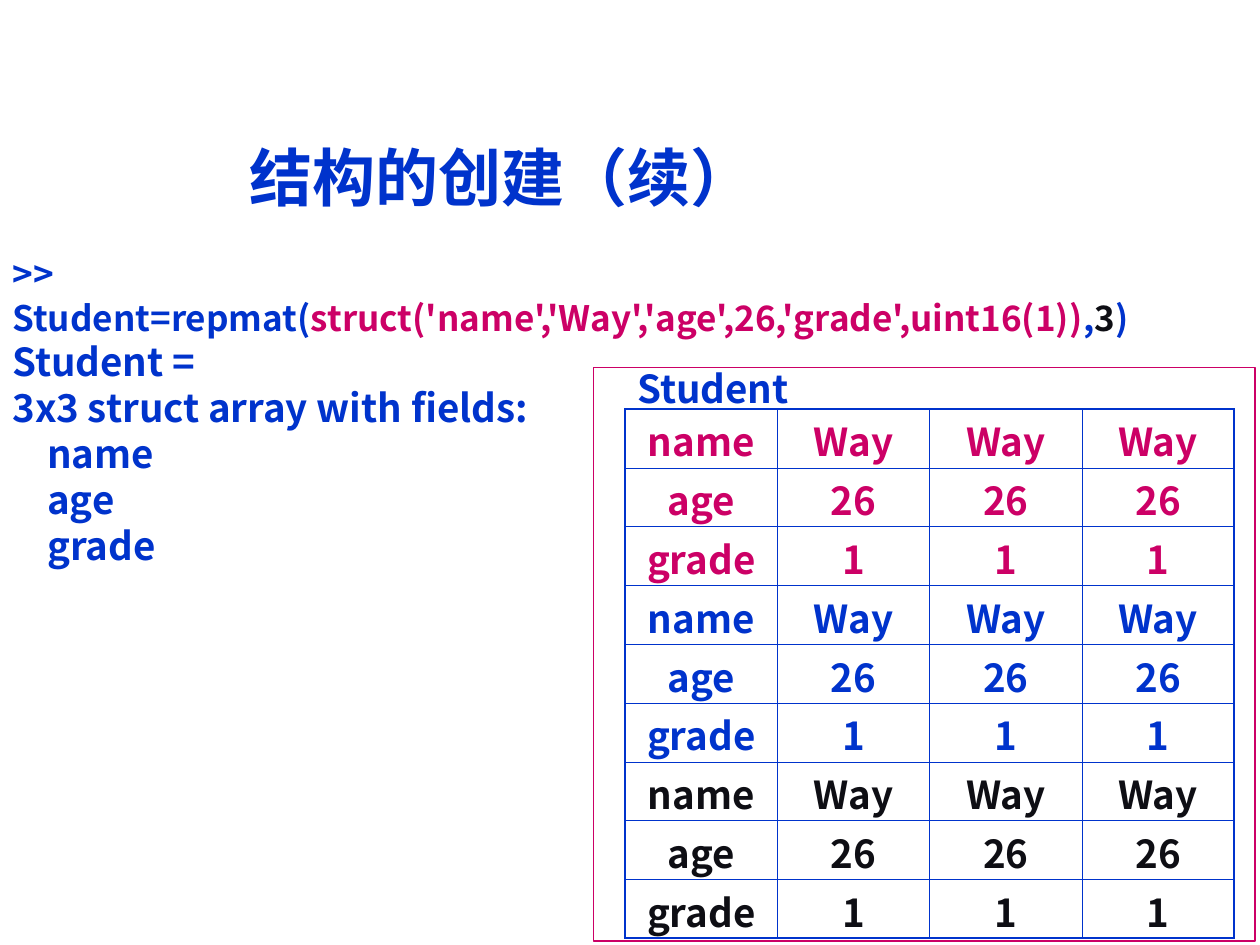
from typing import NamedTuple

from lxml import etree
from pptx import Presentation
from pptx.dml.color import RGBColor
from pptx.enum.shapes import MSO_SHAPE
from pptx.enum.text import MSO_ANCHOR, PP_ALIGN
from pptx.oxml.ns import qn
from pptx.util import Cm, Pt

RECTANGLE = MSO_SHAPE.RECTANGLE
CENTER, LEFT = PP_ALIGN.CENTER, PP_ALIGN.LEFT
MIDDLE, TOP, BOTTOM = MSO_ANCHOR.MIDDLE, MSO_ANCHOR.TOP, MSO_ANCHOR.BOTTOM

FONT = "Noto Sans CJK SC"
BLUE, PINK, BLACK = "0033CC", "CC0066", "0E0E14"
THIN, THICK = 0.45, 1.08
HANGING = Cm(0.95)


class Box(NamedTuple):
    left: float
    top: float
    width: float
    height: float

    def lengths(self) -> list:
        return [Cm(value) for value in self]


class Run(NamedTuple):
    text: str
    color: str = BLUE


class Line(NamedTuple):
    runs: list
    size: float
    spacing: float


class Field(NamedTuple):
    name: str
    value: str


def rgb(color: str) -> RGBColor:
    return RGBColor.from_string(color)


def write(paragraph, text: str, *, size: float, color: str = BLUE,
          align=LEFT, spacing: float | None = None) -> None:
    """Add a bold run and format the paragraph around it."""
    paragraph.alignment = align
    if spacing:
        paragraph.line_spacing = Pt(spacing)
    run = paragraph.add_run()
    run.text = text
    run.font.name = FONT
    run.font.size = Pt(size)
    run.font.bold = True
    run.font.color.rgb = rgb(color)
    east_asian = etree.SubElement(run.font._element, qn("a:ea"))
    east_asian.set("typeface", FONT)


def add_text_frame(slide, box: Box, anchor=TOP):
    frame = slide.shapes.add_textbox(*box.lengths()).text_frame
    frame.word_wrap = True
    frame.vertical_anchor = anchor
    return frame


def add_code(slide, box: Box, lines: list[Line]) -> None:
    frame = add_text_frame(slide, box)
    for index, line in enumerate(lines):
        paragraph = frame.add_paragraph() if index else frame.paragraphs[0]
        properties = paragraph._p.get_or_add_pPr()
        properties.set("marL", str(HANGING))
        properties.set("indent", str(-HANGING))
        for run in line.runs:
            write(paragraph, run.text, size=line.size, color=run.color,
                  spacing=line.spacing)


def set_border(cell, side: str, width: float) -> None:
    border = etree.SubElement(cell._tc.get_or_add_tcPr(), qn(f"a:ln{side}"))
    border.set("w", str(Pt(width)))
    fill = etree.SubElement(border, qn("a:solidFill"))
    etree.SubElement(fill, qn("a:srgbClr")).set("val", BLUE)


def add_student_table(slide, box: Box, fields: list[Field],
                      colors: list[str], copies: int) -> None:
    """Draw one coloured group of field rows for each colour."""
    rows = [(field, color) for color in colors for field in fields]
    row_count, column_count = len(rows), copies + 1
    table = slide.shapes.add_table(row_count, column_count, *box.lengths()).table
    table.first_row = table.horz_banding = False
    for column in table.columns:
        column.width = Cm(box.width / column_count)
    for row_index, (field, color) in enumerate(rows):
        table.rows[row_index].height = Cm(box.height / row_count)
        texts = [field.name] + [field.value] * copies
        for column_index, text in enumerate(texts):
            cell = table.cell(row_index, column_index)
            outer_sides = {
                "L": column_index == 0,
                "R": column_index == column_count - 1,
                "T": row_index == 0,
                "B": row_index == row_count - 1,
            }
            for side, is_outer in outer_sides.items():
                set_border(cell, side, THICK if is_outer else THIN)
            cell.fill.background()
            cell.margin_top = cell.margin_bottom = 0
            cell.vertical_anchor = BOTTOM
            write(cell.text_frame.paragraphs[0], text, size=22, color=color,
                  align=CENTER, spacing=26.4)


def main() -> None:
    presentation = Presentation()
    presentation.slide_width, presentation.slide_height = Cm(25.4), Cm(19.05)
    slide = presentation.slides.add_slide(presentation.slide_layouts[6])

    # Title
    title = add_text_frame(slide, Box(1.3, 2.06, 17.63, 3), MIDDLE)
    write(title.paragraphs[0], "结构的创建（续）", size=36, align=CENTER)

    # Command and its output
    command = [
        Run("Student=repmat("),
        Run("struct('name','Way','age',26,'grade',uint16(1))", PINK),
        Run(","),
        Run("3", BLACK),
        Run(")"),
    ]
    output = ["Student =", "3x3 struct array with fields:",
              "    name", "    age", "    grade"]
    lines = [Line([Run(">>")], 20, 25), Line(command, 20, 25)]
    lines += [Line([Run(text)], 22, 26.3) for text in output]
    add_code(slide, Box(0, 4.93, 24.77, 9.96), lines)

    # Label and frame of the struct array
    label = add_text_frame(slide, Box(12.6, 7.23, 4.88, 1.19))
    write(label.paragraphs[0], "Student", size=22, spacing=26.4)
    frame = slide.shapes.add_shape(RECTANGLE, *Box(11.97, 7.41, 13.33, 11.56).lengths())
    frame.shadow.inherit = False
    frame.fill.background()
    frame.line.color.rgb = rgb(PINK)
    frame.line.width = Pt(0.75)

    # Struct array contents
    fields = [Field("name", "Way"), Field("age", "26"), Field("grade", "1")]
    add_student_table(slide, Box(12.6, 8.25, 12.28, 10.67), fields,
                      [PINK, BLUE, BLACK], copies=3)

    presentation.save("out.pptx")


if __name__ == "__main__":
    main()
